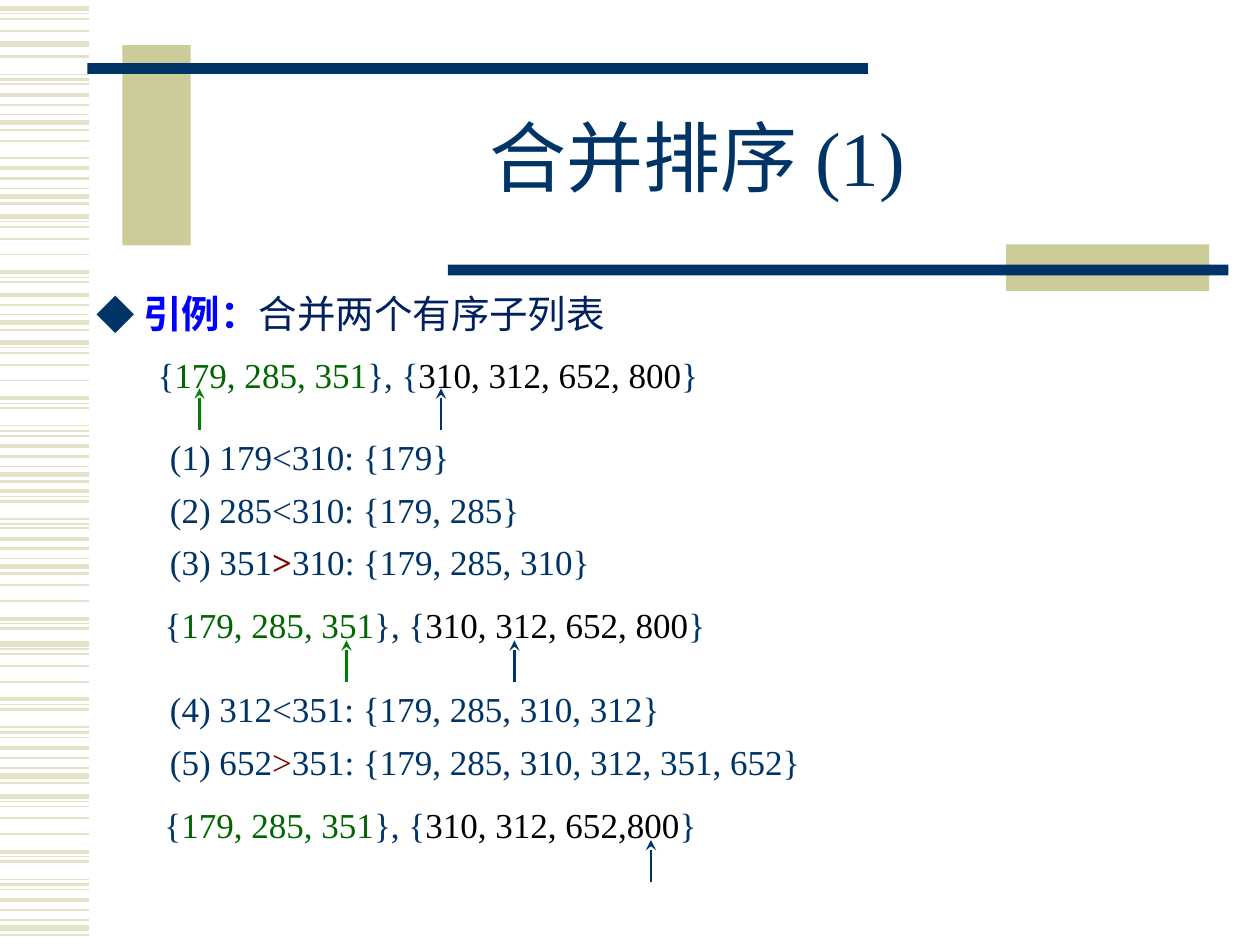
import pptx
import pptx.dml.color
import pptx.enum.shapes
import pptx.enum.text
import pptx.oxml
import pptx.oxml.ns
import pptx.util

Pt = pptx.util.Pt
ALIGN = pptx.enum.text.PP_ALIGN
ANCHOR = pptx.enum.text.MSO_ANCHOR
LATIN = "Times New Roman"
CHINESE = "Noto Sans CJK SC"
NAVY, KHAKI, STRIPE = "003366", "CCCC99", "E3E2C7"
DARK_GREEN, GREEN, BLACK, MAROON = "006600", "008000", "000000", "800000"

RISING = [(0, 1), (6, 2.25), (11.8, 1.5), (17.4, 0.75), (22, 3), (26, 1.5)]
FALLING = [(0, 3), (2.9, 0.75), (5.8, 1), (12.6, 1), (21.6, 1), (31.7, 2.25),
           (34.6, 0.75), (37.4, 1.5), (47.5, 0.75), (50.4, 1.5)]
STRIPE_GROUPS = [
    (5, FALLING[:4]), (25.2, FALLING[:1]), (-5, FALLING[7:]),
    (48.2, RISING), (59, FALLING[4:5]), (90.2, RISING),
    (123.8, FALLING[:8]), (162.5, RISING[1:]), (195.8, FALLING),
    (249.1, RISING), (249.1, FALLING[5:]), (301.8, RISING),
    (321.8, FALLING[3:8]), (368, FALLING), (421.4, RISING),
    (455, FALLING), (508.3, RISING),
]


def color(value):
    return pptx.dml.color.RGBColor.from_string(value)


def add_xml(parent, tag, **attributes):
    element = pptx.oxml.parse_xml(f"<a:{tag} {pptx.oxml.ns.nsdecls('a')}/>")
    for name, value in attributes.items():
        element.set(name, str(value))
    parent.append(element)
    return element


def add_run(paragraph, text, size=20, font=LATIN, fill=NAVY, bold=False):
    run = paragraph.add_run()
    run.text = text
    run.font.size = Pt(size)
    run.font.name = font
    run.font.bold = bold
    run.font.color.rgb = color(fill)
    add_xml(run.font._element, "ea", typeface=CHINESE)


def add_frame(slide, box, anchor=ANCHOR.MIDDLE):
    frame = slide.shapes.add_textbox(*map(Pt, box)).text_frame
    frame.word_wrap = True
    frame.vertical_anchor = anchor
    return frame


def add_line(slide, start, end, fill, width):
    line = slide.shapes.add_connector(
        pptx.enum.shapes.MSO_CONNECTOR.STRAIGHT, *map(Pt, (*start, *end)))
    line.line.color.rgb = color(fill)
    line.line.width = Pt(width)
    add_xml(line._element.spPr, "effectLst")
    return line


def add_arrow(slide, x, bottom, fill):
    arrow = add_line(slide, (x, bottom), (x, bottom - 24), fill, 1.5)
    add_xml(arrow.line._get_or_add_ln(), "tailEnd", type="stealth")


def add_bar(slide, box, fill):
    bar = slide.shapes.add_shape(
        pptx.enum.shapes.MSO_SHAPE.RECTANGLE, *map(Pt, box))
    bar.shadow.inherit = False
    bar.fill.solid()
    bar.fill.fore_color.rgb = color(fill)
    bar.line.fill.background()


def add_stripes(slide, left, top, width):
    for start, group in STRIPE_GROUPS:
        for offset, weight in group:
            y = top + start + offset
            add_line(slide, (left, y), (left + width, y), STRIPE, weight)


def add_header(slide, left, top, width, height):
    bar_width, bar_height = 446, 6.2
    add_bar(slide, (left + 20, top, 39, 114.4), KHAKI)
    add_bar(slide, (left, top + 10.2, bar_width, bar_height), NAVY)
    add_bar(slide, (left + 525, top + 113.9, 116, 26.5), KHAKI)
    add_bar(slide, (left + width - bar_width, top + 125.4,
                    bar_width, bar_height), NAVY)
    frame = add_frame(slide, (left + 58, top + 22.5, width - 71, height - 50))
    paragraph = frame.paragraphs[0]
    paragraph.alignment = ALIGN.CENTER
    paragraph.line_spacing = 0.85
    add_run(paragraph, "合并排序 (1)", size=44)


def add_list_pair(paragraph, second):
    add_run(paragraph, "{")
    add_run(paragraph, "179, 285, 351", fill=DARK_GREEN)
    add_run(paragraph, "}, {")
    add_run(paragraph, second, fill=BLACK)
    add_run(paragraph, "}")


def add_example(slide, left, top, width, height):
    frame = add_frame(slide, (left, top, width, height), ANCHOR.TOP)
    heading = frame.paragraphs[0]
    heading.space_before = Pt(4.4)
    heading.space_after = Pt(6)
    properties = heading._p.get_or_add_pPr()
    properties.set("marL", str(Pt(27)))
    properties.set("indent", str(Pt(-27)))
    add_xml(add_xml(properties, "buClr"), "srgbClr", val=NAVY)
    add_xml(properties, "buFont", typeface=CHINESE)
    add_xml(properties, "buChar", char="◆")
    add_run(heading, "引例：", size=22, font=CHINESE, fill="0000FF", bold=True)
    add_run(heading, "合并两个有序子列表", size=22, font=CHINESE, fill="002060")

    lists = frame.add_paragraph()
    lists.space_before = Pt(4)
    lists._p.get_or_add_pPr().set("marL", str(Pt(35)))
    add_list_pair(lists, "310, 312, 652, 800")
    add_arrow(slide, left + 66, top + 84, GREEN)
    add_arrow(slide, left + 204, top + 84, NAVY)


def add_list_row(slide, left, top, width, second, arrows):
    frame = add_frame(slide, (left, top, width, 30))
    frame.paragraphs[0].alignment = ALIGN.CENTER
    add_list_pair(frame.paragraphs[0], second)
    for x, fill in arrows:
        add_arrow(slide, left + x, top + 48, fill)


def add_steps(slide, left, top, width, steps):
    for index, (before, sign, after) in enumerate(steps):
        frame = add_frame(slide, (left, top + 30 * index, width, 30))
        paragraph = frame.paragraphs[0]
        paragraph.space_before = Pt(4)
        add_run(paragraph, before)
        if sign:
            add_run(paragraph, ">", fill=MAROON, bold=sign == "bold")
            add_run(paragraph, after)


def main():
    presentation = pptx.Presentation()
    presentation.slide_width = Pt(720)
    presentation.slide_height = Pt(540)
    slide = presentation.slides.add_slide(presentation.slide_layouts[6])
    add_stripes(slide, 0, 0, 51)
    add_header(slide, 50, 25.8, 652, 140)
    add_example(slide, 48, 162, 626, 336)
    add_steps(slide, 90, 246, 378, [
        ("(1) 179<310: {179}", None, ""),
        ("(2) 285<310: {179, 285}", None, ""),
        ("(3) 351", "bold", "310: {179, 285, 310}"),
    ])
    add_list_row(slide, 83, 342, 331, "310, 312, 652, 800",
                 [(115, GREEN), (211, NAVY)])
    add_steps(slide, 90, 390, 378, [
        ("(4) 312<351: {179, 285, 310, 312}", None, ""),
        ("(5) 652", "regular", "351: {179, 285, 310, 312, 351, 652}"),
    ])
    add_list_row(slide, 84, 456, 324, "310, 312, 652,800", [(288, NAVY)])
    presentation.save("out.pptx")


if __name__ == "__main__":
    main()
